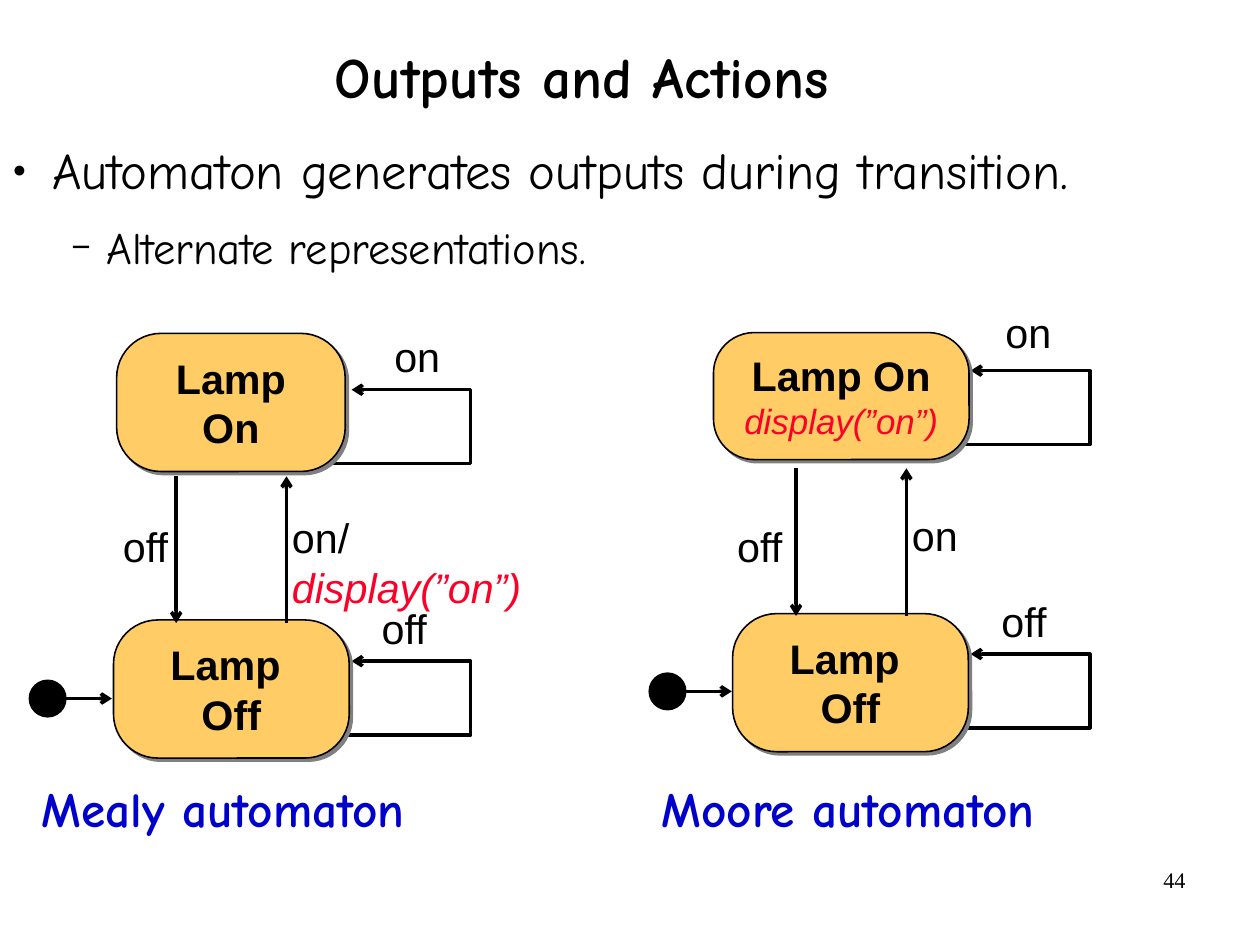
"""Build the slide that compares a Mealy and a Moore lamp automaton."""
from lxml.etree import SubElement
from pptx import Presentation
from pptx.dml.color import RGBColor
from pptx.enum.shapes import MSO_CONNECTOR as Connector, MSO_SHAPE as Shape
from pptx.enum.text import MSO_ANCHOR as Anchor, MSO_AUTO_SIZE as AutoSize, PP_ALIGN as Align
from pptx.oxml.ns import qn
from pptx.util import Pt

BLACK, RED, BLUE, AMBER, GREY = "000000", "FC0128", "0000CC", "FFCC66", "808080"
color = RGBColor.from_string


def write(box, lines, margins=(7.9, 4.3), wrap=True, grow=True, anchor=Anchor.TOP, align=Align.LEFT):
    """Fill a shape with (text, format) lines."""
    across, down = map(Pt, margins)
    frame = box.text_frame
    layout = {"margin_left": across, "margin_right": across, "margin_top": down,
              "margin_bottom": down, "word_wrap": wrap, "vertical_anchor": anchor,
              "auto_size": AutoSize.SHAPE_TO_FIT_TEXT if grow else AutoSize.NONE}
    for name, value in layout.items():
        setattr(frame, name, value)
    for number, (text, style) in enumerate(lines):
        para = frame.add_paragraph() if number else frame.paragraphs[0]
        para.text = text
        para.alignment = align
        for span in para.runs:
            span.font.color.rgb = color(style.get("color", BLACK))
            for name, value in style.items():
                if name != "color":
                    setattr(span.font, name, value)


def draw_arrow(shape):
    """Give a line its stroke and an open arrowhead."""
    shape.line.color.rgb = color(BLACK)
    shape.line.width = Pt(2.25)
    SubElement(shape.line._get_or_add_ln(), qn("a:tailEnd"), type="arrow")


heading = {"name": "Comic Neue", "size": Pt(36), "bold": True}
bullet_text = {"name": "Comic Neue", "size": Pt(32)}
sub_bullet_text = {"name": "Comic Neue", "size": Pt(28)}
caption = {"name": "Comic Neue", "size": Pt(31), "bold": True, "color": BLUE}
label = {"name": "Arial", "size": Pt(26)}
state = {**label, "bold": True}
action = {**label, "italic": True, "color": RED}
small_action = {**action, "size": Pt(22)}
page_number = {"name": "Times New Roman", "size": Pt(14)}

deck = Presentation()
deck.slide_width, deck.slide_height = Pt(793.75), Pt(595.25)
page = deck.slides.add_slide(deck.slide_layouts[6])
shapes = page.shapes

number_box = shapes.add_textbox(Pt(569), Pt(542), Pt(185), Pt(41))
write(number_box, [("44", page_number)], (7.2, 3.6), grow=False, align=Align.RIGHT)

title = shapes.add_textbox(Pt(28), Pt(14.5), Pt(677), Pt(72))
write(title, [("Outputs and Actions", heading)], (0, 0), grow=False,
      anchor=Anchor.MIDDLE, align=Align.CENTER)
title.text_frame.paragraphs[0].line_spacing = 0.88

body = shapes.add_textbox(0, Pt(87.5), Pt(793.75), Pt(468))
write(body, [("Automaton generates outputs during transition.", bullet_text),
             ("Alternate representations.", sub_bullet_text)], (0, 0), grow=False)
bullets = [("●", 45, 33, -25, {}),
           ("−", 75, 67, -22, {"level": 1, "line_spacing": 1.2,
                               "space_before": Pt(6), "space_after": Pt(6)})]
for para, (mark, percent, margin, indent, spacing) in zip(body.text_frame.paragraphs, bullets):
    props = para._p.get_or_add_pPr()
    props.set("marL", str(Pt(margin)))
    props.set("indent", str(Pt(indent)))
    SubElement(SubElement(props, qn("a:buClr")), qn("a:srgbClr"), val=BLACK)
    SubElement(props, qn("a:buSzPct"), val=str(percent * 1000))
    SubElement(props, qn("a:buFont"), typeface="Arial")
    SubElement(props, qn("a:buChar"), char=mark)
    for name, value in spacing.items():
        setattr(para, name, value)

loops = [(599.5, 233.5), (599.5, 412), (209.5, 245.5), (209.5, 416.5)]
for left, top in loops:
    right, bottom = left + 87, top + 46.5
    builder = shapes.build_freeform(Pt(left), Pt(bottom))
    builder.add_line_segments([(Pt(right), Pt(bottom)), (Pt(right), Pt(top)),
                               (Pt(left + 12), Pt(top))], close=False)
    loop = builder.convert_to_shape()
    loop.fill.background()
    loop.shadow.inherit = False
    draw_arrow(loop)

states = [
    (449.5, 209.5, 161, 80, [("Lamp On", state), ("display(”on”)", small_action)]),
    (461.5, 386.5, 148.5, 87, [("Lamp \vOff", state)]),
    (73.5, 210, 144, 87, [("Lamp On", state)]),
    (71.5, 390.5, 148.5, 87, [("Lamp \vOff", state)]),
]
for left, top, width, height, lines in states:
    box = shapes.add_shape(Shape.ROUNDED_RECTANGLE, Pt(left), Pt(top), Pt(width), Pt(height))
    box.adjustments[0] = 0.32
    box.fill.solid()
    box.fill.fore_color.rgb = color(AMBER)
    box.line.color.rgb = color(BLACK)
    box.line.width = Pt(1)
    box.shadow.inherit = False
    effects = box._element.spPr.find(qn("a:effectLst"))
    shadow = SubElement(effects, qn("a:outerShdw"), dist=str(Pt(2.8)), dir="2700000")
    SubElement(shadow, qn("a:srgbClr"), val=GREY)
    write(box, lines, anchor=Anchor.MIDDLE, align=Align.CENTER)

arrows = [
    (501.5, 295, 501.5, 388), (571, 388, 571, 295), (420.5, 435.5, 461, 435.5),
    (111, 300, 111, 392.5), (180.5, 392.5, 180.5, 300), (30, 440, 70.5, 440),
]
for ends in arrows:
    arrow = shapes.add_connector(Connector.STRAIGHT, *map(Pt, ends))
    SubElement(arrow._element.spPr, qn("a:effectLst"))
    draw_arrow(arrow)

for left, top in [(409, 424), (18.5, 428.5)]:
    start = shapes.add_shape(Shape.OVAL, Pt(left), Pt(top), Pt(23), Pt(23))
    start.fill.solid()
    start.fill.fore_color.rgb = color(BLACK)
    start.line.color.rgb = color(BLACK)
    start.line.width = Pt(1)
    start.shadow.inherit = False

labels = [
    (625.5, 189, "on"), (623, 371.5, "off"), (456.5, 324, "off"), (566.5, 317, "on"),
    (240.5, 204.5, "on"), (232.5, 375.5, "off"), (69.5, 324, "off"),
]
for left, top, text in labels:
    box = shapes.add_textbox(Pt(left), Pt(top), Pt(45.5), Pt(39.5))
    write(box, [(text, label)], wrap=False)

output = shapes.add_textbox(Pt(176), Pt(318.5), Pt(196.5), Pt(72))
write(output, [("on/", label), ("display(”on”)", action)])

for left, width, text in [(409, 277, "Moore automaton"), (18.5, 272, "Mealy automaton")]:
    box = shapes.add_textbox(Pt(left), Pt(486), Pt(width), Pt(45.5))
    write(box, [(text, caption)], wrap=False)

deck.save("out.pptx")
